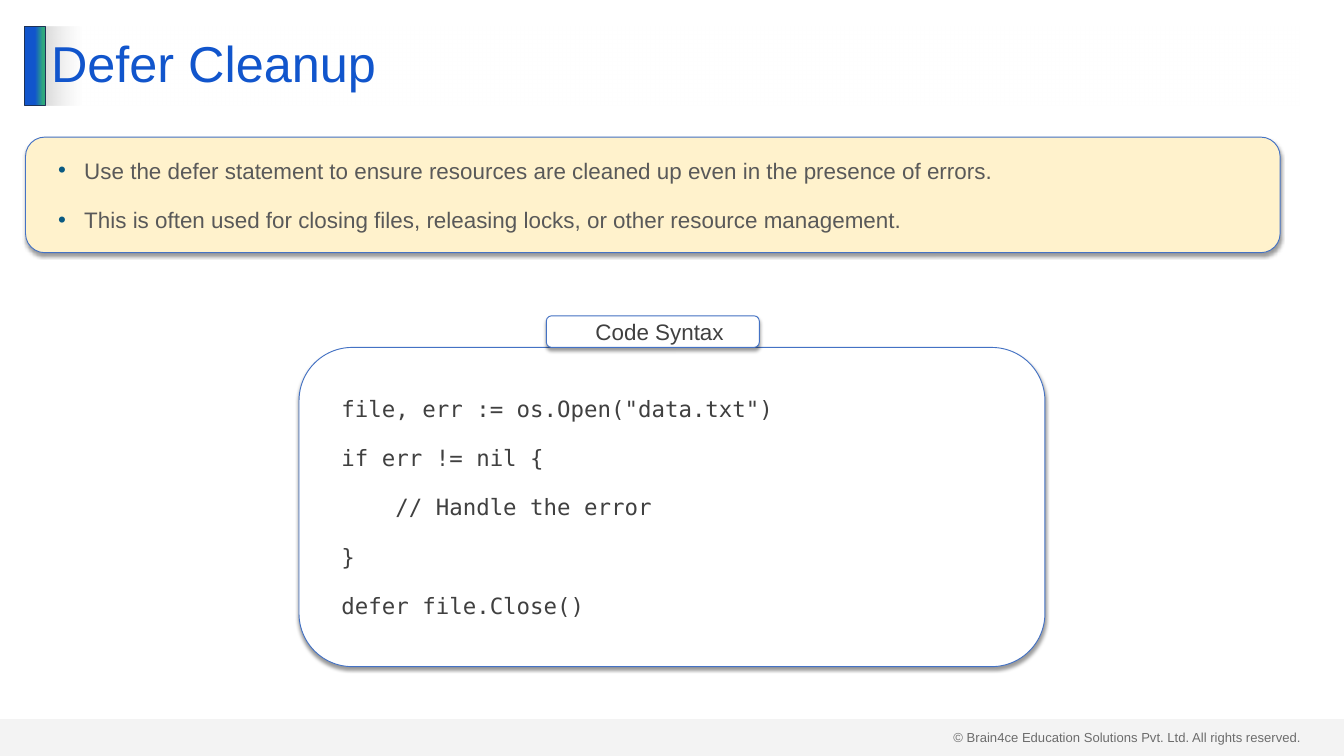
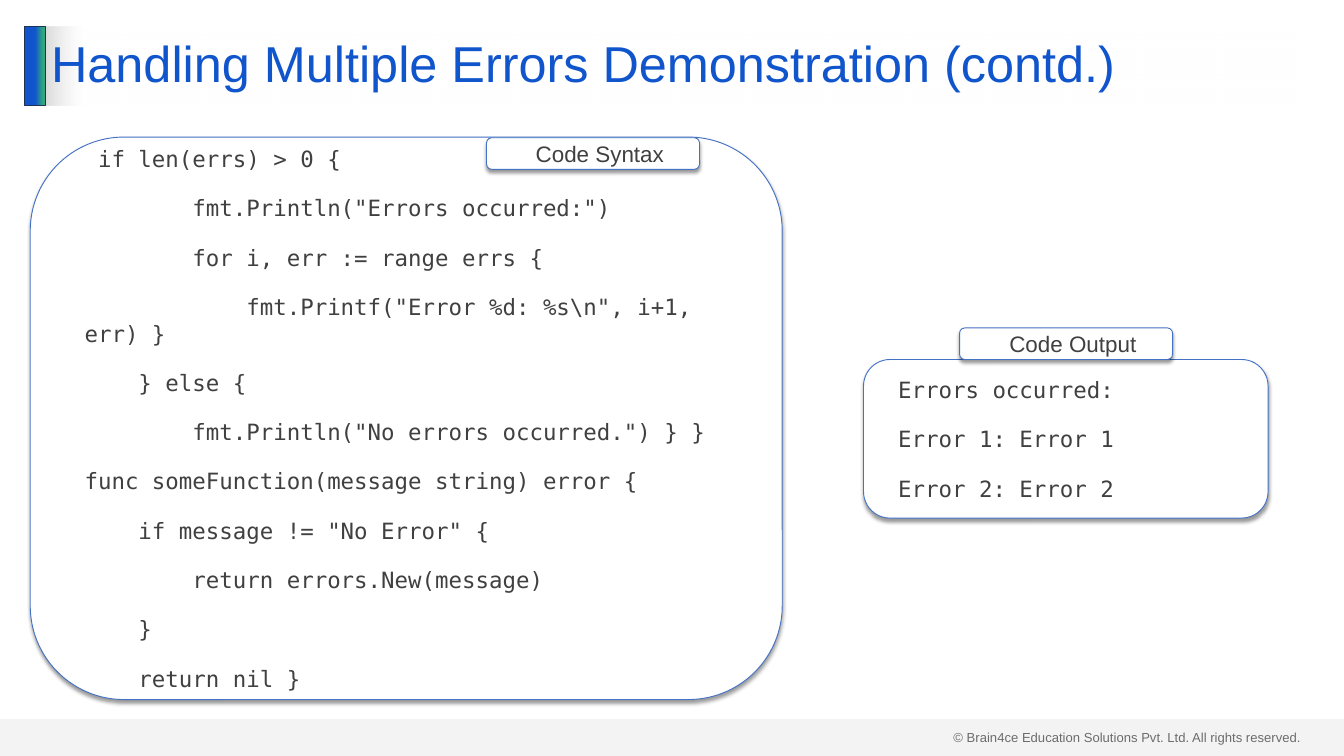
from lxml import etree
from pptx import Presentation
from pptx.dml.color import RGBColor
from pptx.enum.shapes import MSO_SHAPE
from pptx.enum.text import MSO_ANCHOR, MSO_AUTO_SIZE, PP_ALIGN
from pptx.oxml.ns import qn
from pptx.util import Inches, Pt

RECTANGLE = MSO_SHAPE.RECTANGLE
ROUNDED = MSO_SHAPE.ROUNDED_RECTANGLE
MIDDLE = MSO_ANCHOR.MIDDLE
NO_AUTOFIT = MSO_AUTO_SIZE.NONE
LEFT, CENTER = PP_ALIGN.LEFT, PP_ALIGN.CENTER

BLUE = RGBColor(0x11, 0x55, 0xCC)
GREEN = RGBColor(0x2E, 0xA8, 0x7D)
NAVY = RGBColor(0x1E, 0x32, 0x56)
OUTLINE = RGBColor(0x44, 0x72, 0xC4)
CREAM = RGBColor(0xFF, 0xF2, 0xCC)
TEAL = RGBColor(0x09, 0x5A, 0x82)
WHITE = RGBColor(0xFF, 0xFF, 0xFF)
BLACK = RGBColor(0, 0, 0)
SILVER = RGBColor(0xD9, 0xD9, 0xD9)
GRAY = RGBColor(0x59, 0x59, 0x59)
DARK = RGBColor(0x40, 0x40, 0x40)

SANS, MONO = "Arial", "DejaVu Sans Mono"
COPYRIGHT = "© Brain4ce Education Solutions Pvt. Ltd. All rights reserved."
LABEL_WIDTH, LABEL_HEIGHT = 3.17, 0.47

DEFER_NOTES = [
    "Use the defer statement to ensure resources are cleaned up even in the presence of errors.",
    "This is often used for closing files, releasing locks, or other resource management.",
]
DEFER_CODE = [
    'file, err := os.Open("data.txt")',
    "if err != nil {",
    "    // Handle the error",
    "}",
    "defer file.Close()",
]
ERRORS_CODE = [
    " if len(errs) > 0 {",
    '        fmt.Println("Errors occurred:")',
    "        for i, err := range errs {",
    '            fmt.Printf("Error %d: %s\\n", i+1, err) }',
    "    } else {",
    '        fmt.Println("No errors occurred.") } }',
    "func someFunction(message string) error {",
    '    if message != "No Error" {',
    "        return errors.New(message)",
    "    }",
    "    return nil }",
]
ERRORS_OUTPUT = ["Errors occurred:", "Error 1: Error 1", "Error 2: Error 2"]


def add_color(parent, color, alpha=100):
    node = etree.SubElement(parent, qn("a:srgbClr"), val=str(color))
    if alpha < 100:
        etree.SubElement(node, qn("a:alpha"), val=str(alpha * 1000))


def fill_gradient(shape, stops):
    shape.fill.background()
    properties = shape.element.spPr
    gradient = etree.Element(qn("a:gradFill"), rotWithShape="1")
    stop_list = etree.SubElement(gradient, qn("a:gsLst"))
    for position, color, alpha in stops:
        stop = etree.SubElement(stop_list, qn("a:gs"), pos=str(position * 1000))
        add_color(stop, color, alpha)
    etree.SubElement(gradient, qn("a:lin"), ang="0", scaled="0")
    properties.replace(properties.find(qn("a:noFill")), gradient)


def add_shadow(shape):
    effects = shape.element.spPr.find(qn("a:effectLst"))
    shadow = etree.SubElement(
        effects, qn("a:outerShdw"), blurRad=str(Pt(4)), dist=str(Pt(3)),
        dir="5400000", algn="t", rotWithShape="0")
    add_color(shadow, BLACK, 40)


def style_font(paragraph, name, size, color):
    paragraph.font.name = name
    paragraph.font.size = Pt(size)
    paragraph.font.color.rgb = color


def add_block(slide, kind, box):
    shape = slide.shapes.add_shape(kind, *map(Inches, box))
    shape.shadow.inherit = False
    return shape


def add_bullet(properties):
    add_color(etree.SubElement(properties, qn("a:buClr")), TEAL)
    etree.SubElement(properties, qn("a:buFont"), typeface=SANS)
    etree.SubElement(properties, qn("a:buChar"), char="•")


def add_panel(slide, box, lines, font=SANS, color=DARK, fill=WHITE,
              align=LEFT, bulleted=False):
    panel = add_block(slide, ROUNDED, box)
    panel.fill.solid()
    panel.fill.fore_color.rgb = fill
    panel.line.color.rgb = OUTLINE
    panel.line.width = Pt(1)
    add_shadow(panel)
    frame = panel.text_frame
    frame.word_wrap = True
    frame.vertical_anchor = MIDDLE
    frame.margin_left = frame.margin_right = Inches(0.2)
    frame.margin_top = frame.margin_bottom = Inches(0.1)
    margin, indent = (0.59, -0.39) if bulleted else (0.2, 0)
    for index, line in enumerate(lines):
        paragraph = frame.add_paragraph() if index else frame.paragraphs[0]
        paragraph.text = line
        paragraph.alignment = align
        paragraph.space_before = Pt(12 if index else 0)
        paragraph.space_after = Pt(12)
        properties = paragraph._p.get_or_add_pPr()
        properties.set("marL", str(Inches(margin)))
        properties.set("indent", str(Inches(indent)))
        if bulleted:
            add_bullet(properties)
        style_font(paragraph, font, 24, color)


def add_code_panel(slide, box, lines, label, label_left, label_top=-LABEL_HEIGHT):
    left, top = box[:2]
    add_panel(slide, box, lines, font=MONO)
    add_panel(slide, (left + label_left, top + label_top, LABEL_WIDTH, LABEL_HEIGHT),
              [label], align=CENTER)


def add_footer(slide, box):
    left, top, width, height = box
    notice = slide.shapes.add_textbox(
        Inches(left + 14.09), Inches(top + 0.1), Inches(5.41), Inches(0.34))
    notice.text_frame.word_wrap = True
    paragraph = notice.text_frame.paragraphs[0]
    paragraph.text = COPYRIGHT
    style_font(paragraph, SANS, 14, DARK)
    band = add_block(slide, RECTANGLE, box)
    band.fill.solid()
    band.fill.fore_color.rgb = SILVER
    add_color_alpha = band.element.spPr.find(qn("a:solidFill"))[0]
    etree.SubElement(add_color_alpha, qn("a:alpha"), val="29000")
    band.line.fill.background()


def add_heading(slide, box, text):
    left, top, width, height = box
    accent = add_block(slide, RECTANGLE, (left, top, 0.3, height))
    fill_gradient(accent, [(51, BLUE, 100), (90, GREEN, 100), (100, GREEN, 100)])
    accent.line.color.rgb = NAVY
    accent.line.width = Pt(1)
    title = slide.shapes.title
    title.left, title.top = Inches(left + 0.29), Inches(top)
    title.width, title.height = Inches(width - 0.29), Inches(height)
    fill_gradient(title, [(0, SILVER, 100), (3, WHITE, 50)])
    frame = title.text_frame
    frame.word_wrap = True
    frame.auto_size = NO_AUTOFIT
    frame.vertical_anchor = MIDDLE
    paragraph = frame.paragraphs[0]
    paragraph.text = text
    paragraph.alignment = LEFT
    paragraph.line_spacing = 0.9
    style_font(paragraph, SANS, 54, BLUE)


def add_titled_slide(deck, title):
    slide = deck.slides.add_slide(deck.slide_layouts[5])
    add_footer(slide, (0, 10.7, 20, 0.55))
    add_heading(slide, (0.37, 0.39, 18.96, 1.18), title)
    return slide


def build_defer_slide(deck):
    slide = add_titled_slide(deck, "Defer Cleanup")
    add_panel(slide, (0.38, 2.04, 18.67, 1.72), DEFER_NOTES,
              color=GRAY, fill=CREAM, bulleted=True)
    add_code_panel(slide, (4.45, 5.17, 11.1, 4.75), DEFER_CODE, "Code Syntax", 3.68)


def build_errors_slide(deck):
    slide = add_titled_slide(deck, "Handling Multiple Errors Demonstration (contd.)")
    add_code_panel(slide, (0.45, 2.04, 11.19, 8.37), ERRORS_CODE,
                   "Code Syntax", 6.79, 0.01)
    add_code_panel(slide, (12.85, 5.35, 6.02, 2.36), ERRORS_OUTPUT,
                   "Code Output", 1.43)


def main():
    deck = Presentation()
    deck.slide_width, deck.slide_height = Inches(20), Inches(11.25)
    build_defer_slide(deck)
    build_errors_slide(deck)
    deck.save("out.pptx")


if __name__ == "__main__":
    main()
